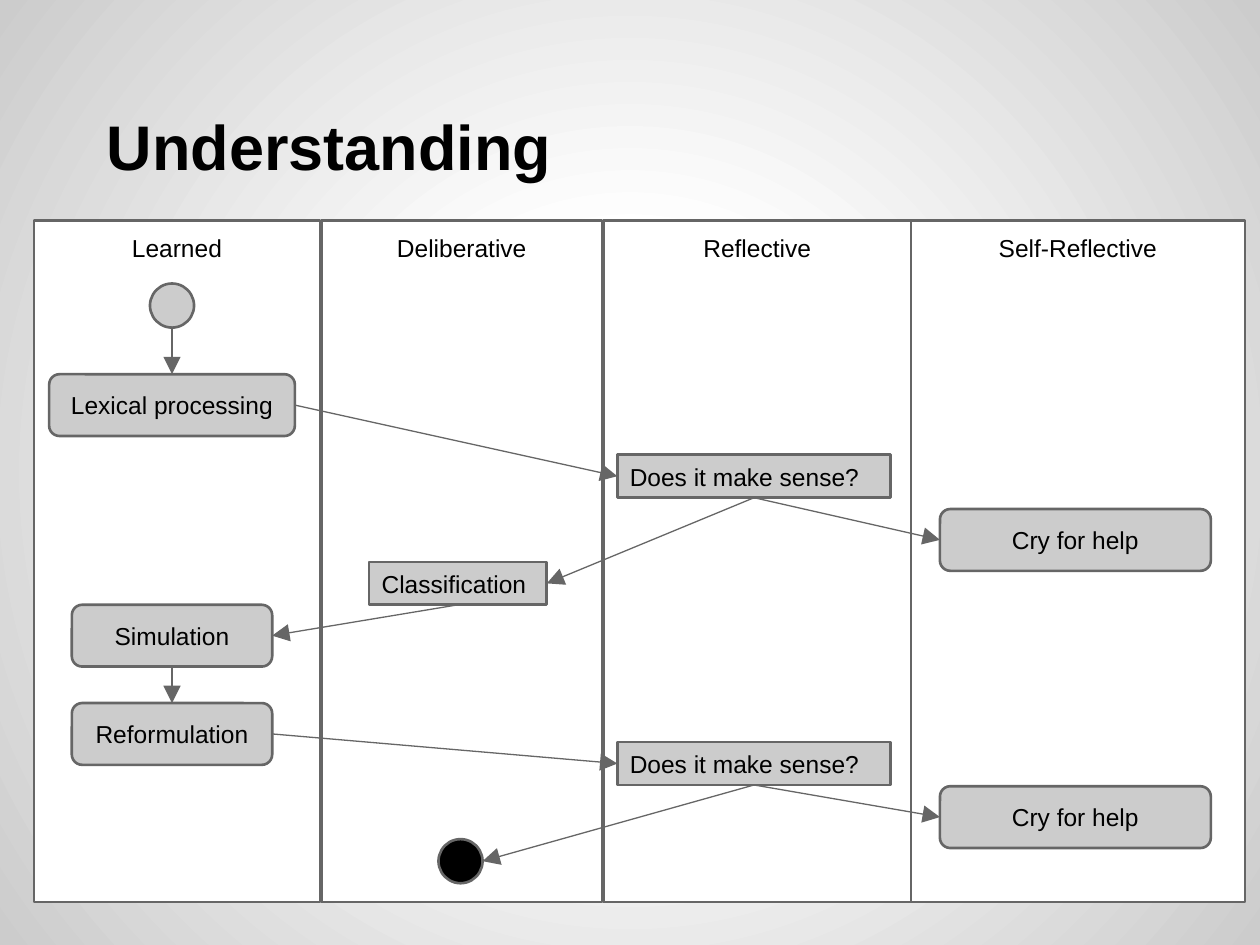
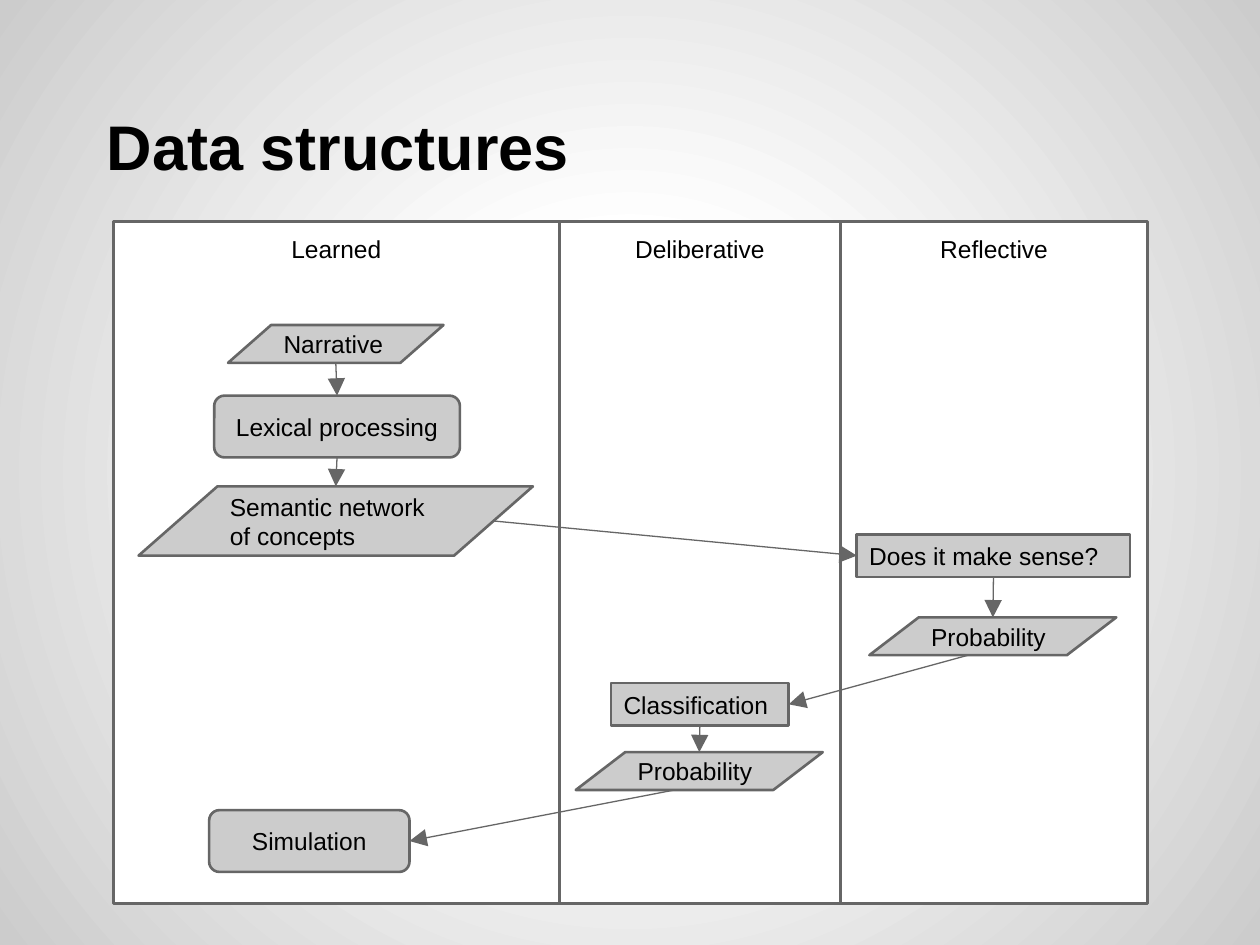
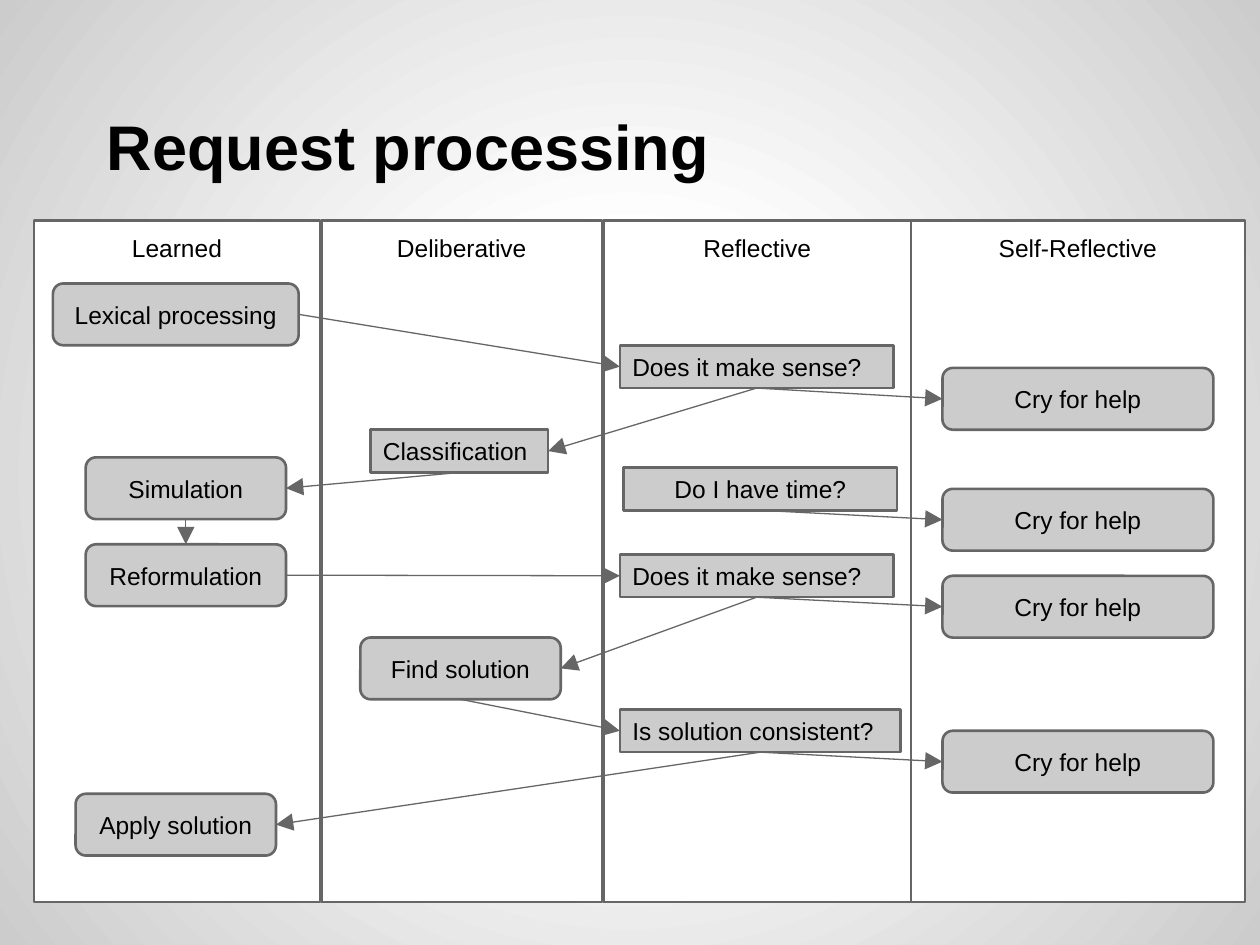
"""Builds three swimlane diagrams of how a request is understood and processed."""
from lxml.etree import SubElement
from pptx import Presentation
from pptx.dml.color import RGBColor
from pptx.enum.shapes import MSO_CONNECTOR, MSO_SHAPE as SHAPE
from pptx.enum.text import MSO_ANCHOR as ANCHOR, PP_ALIGN as ALIGN
from pptx.oxml import parse_xml
from pptx.oxml.ns import nsdecls, qn
from pptx.util import Inches, Pt

BLACK = RGBColor(0x00, 0x00, 0x00)
WHITE = RGBColor(0xFF, 0xFF, 0xFF)
SILVER = RGBColor(0xCC, 0xCC, 0xCC)
GRAY = RGBColor(0x66, 0x66, 0x66)
FONT = "Arial"

WIDTH, HEIGHT = Inches(10), Inches(7.5)
COLUMNS = 100
CELL = WIDTH / COLUMNS
LANE_ROWS = 54.1

TOP, LEFT, BOTTOM, RIGHT = (0.5, 0), (0, 0.5), (0.5, 1), (1, 0.5)
SLANT_BOTTOM, SLANT_RIGHT = (0.4, 1), (0.9, 0.5)
SITES = [TOP, LEFT, BOTTOM, RIGHT]
JOINABLE = [SHAPE.RECTANGLE, SHAPE.ROUNDED_RECTANGLE]

KINDS = {
    "lexical": (SHAPE.ROUNDED_RECTANGLE, 19.5, 4.9, SILVER, ALIGN.CENTER),
    "process": (SHAPE.ROUNDED_RECTANGLE, 15.9, 4.9, SILVER, ALIGN.CENTER),
    "help": (SHAPE.ROUNDED_RECTANGLE, 21.5, 4.9, SILVER, ALIGN.CENTER),
    "check": (SHAPE.RECTANGLE, 21.7, 3.4, SILVER, ALIGN.LEFT),
    "wide check": (SHAPE.RECTANGLE, 22.3, 3.4, SILVER, ALIGN.LEFT),
    "time check": (SHAPE.RECTANGLE, 21.7, 3.4, SILVER, ALIGN.CENTER),
    "classify": (SHAPE.RECTANGLE, 14.1, 3.4, SILVER, ALIGN.LEFT),
    "narrative": (SHAPE.FLOWCHART_DATA, 17.1, 3, SILVER, ALIGN.LEFT),
    "network": (SHAPE.FLOWCHART_DATA, 31.3, 5.5, SILVER, ALIGN.LEFT),
    "probability": (SHAPE.FLOWCHART_DATA, 19.6, 3, SILVER, ALIGN.LEFT),
    "start": (SHAPE.FLOWCHART_CONNECTOR, 3.5, 3.5, SILVER, ALIGN.CENTER),
    "end": (SHAPE.FLOWCHART_CONNECTOR, 3.5, 3.5, BLACK, ALIGN.CENTER),
}

FOUR_LANES = [
    ("Learned", 2.7, 22.7),
    ("Deliberative", 25.5, 22.3),
    ("Reflective", 47.9, 24.4),
    ("Self-Reflective", 72.3, 26.5),
]
THREE_LANES = [
    ("Learned", 9, 35.4),
    ("Deliberative", 44.4, 22.3),
    ("Reflective", 66.7, 24.4),
]

DIAGRAMS = [
    ("Understanding", FOUR_LANES, 17.5, {
        "start": ("start", "", 11.9, 22.5),
        "lexical": ("lexical", "Lexical processing", 3.9, 29.7),
        "sense 1": ("check", "Does it make sense?", 49, 36.1),
        "help 1": ("help", "Cry for help", 74.6, 40.4),
        "classify": ("classify", "Classification", 29.3, 44.6),
        "simulate": ("process", "Simulation", 5.7, 48),
        "reformulate": ("process", "Reformulation", 5.7, 55.8),
        "sense 2": ("check", "Does it make sense?", 49, 58.9),
        "help 2": ("help", "Cry for help", 74.6, 62.4),
        "end": ("end", "", 34.8, 66.6),
    }, [
        ("start", BOTTOM, "lexical", TOP),
        ("lexical", RIGHT, "sense 1", LEFT),
        ("sense 1", BOTTOM, "help 1", LEFT),
        ("sense 1", BOTTOM, "classify", RIGHT),
        ("classify", BOTTOM, "simulate", RIGHT),
        ("simulate", BOTTOM, "reformulate", TOP),
        ("reformulate", RIGHT, "sense 2", LEFT),
        ("sense 2", BOTTOM, "help 2", LEFT),
        ("sense 2", BOTTOM, "end", RIGHT),
    ]),
    ("Data structures", THREE_LANES, 17.6, {
        "narrative": ("narrative", "Narrative", 18.1, 25.8),
        "lexical": ("lexical", "Lexical processing", 17, 31.4),
        "network": ("network", "Semantic network of concepts", 11, 38.6),
        "sense": ("check", "Does it make sense?", 68, 42.4),
        "sense odds": ("probability", "Probability", 69, 49),
        "classify": ("classify", "Classification", 48.5, 54.2),
        "class odds": ("probability", "Probability", 45.7, 59.7),
        "simulate": ("process", "Simulation", 16.6, 64.3),
    }, [
        ("narrative", BOTTOM, "lexical", TOP),
        ("lexical", BOTTOM, "network", TOP),
        ("network", SLANT_RIGHT, "sense", LEFT),
        ("sense", BOTTOM, "sense odds", TOP),
        ("sense odds", SLANT_BOTTOM, "classify", RIGHT),
        ("classify", BOTTOM, "class odds", TOP),
        ("class odds", SLANT_BOTTOM, "simulate", RIGHT),
    ]),
    ("Request processing", FOUR_LANES, 17.5, {
        "lexical": ("lexical", "Lexical processing", 4.2, 22.5),
        "sense 1": ("check", "Does it make sense?", 49.2, 27.4),
        "help 1": ("help", "Cry for help", 74.8, 29.2),
        "classify": ("classify", "Classification", 29.4, 34.1),
        "simulate": ("process", "Simulation", 6.8, 36.3),
        "time": ("time check", "Do I have time?", 49.5, 37.1),
        "help 2": ("help", "Cry for help", 74.8, 38.8),
        "reformulate": ("process", "Reformulation", 6.8, 43.2),
        "sense 2": ("check", "Does it make sense?", 49.2, 44),
        "help 3": ("help", "Cry for help", 74.8, 45.7),
        "find": ("process", "Find solution", 28.6, 50.6),
        "consistent": ("wide check", "Is solution consistent?", 49.2, 56.3),
        "help 4": ("help", "Cry for help", 74.8, 58),
        "apply": ("process", "Apply solution", 6, 63),
    }, [
        ("lexical", RIGHT, "sense 1", LEFT),
        ("sense 1", BOTTOM, "help 1", LEFT),
        ("sense 1", BOTTOM, "classify", RIGHT),
        ("classify", BOTTOM, "simulate", RIGHT),
        ("simulate", BOTTOM, "reformulate", TOP),
        ("time", BOTTOM, "help 2", LEFT),
        ("reformulate", RIGHT, "sense 2", LEFT),
        ("sense 2", BOTTOM, "help 3", LEFT),
        ("sense 2", BOTTOM, "find", RIGHT),
        ("find", BOTTOM, "consistent", LEFT),
        ("consistent", BOTTOM, "help 4", LEFT),
        ("consistent", BOTTOM, "apply", RIGHT),
    ]),
]


def write(frame, text, size, align, anchor, bold=False):
    frame.word_wrap = True
    frame.vertical_anchor = anchor
    frame.margin_left = frame.margin_right = Inches(0.1)
    frame.margin_top = frame.margin_bottom = Inches(0.1)
    paragraph = frame.paragraphs[0]
    paragraph.alignment = align
    run = paragraph.add_run()
    run.text = text
    run.font.name, run.font.size, run.font.bold = FONT, Pt(size), bold
    run.font.color.rgb = BLACK
    return paragraph


def add_box(slide, geometry, grid, fill, text, align, anchor):
    box = slide.shapes.add_shape(geometry, *(round(n * CELL) for n in grid))
    box.shadow.inherit = False
    box.fill.solid()
    box.fill.fore_color.rgb = fill
    box.line.color.rgb = GRAY
    box.line.width = Pt(1.5)
    if text:
        write(box.text_frame, text, 14, align, anchor)
    return box


deck = Presentation()
deck.slide_width, deck.slide_height = WIDTH, HEIGHT

master = deck.slide_master
master.background.fill.solid()
backdrop = master.element.find(".//" + qn("p:bgPr"))
stops = "".join(
    f'<a:gs pos="{percent * 1000}"><a:srgbClr val="{color}"/></a:gs>'
    for percent, color in [(0, WHITE), (30, WHITE), (100, SILVER)]
)
backdrop[0] = parse_xml(
    f'<a:gradFill {nsdecls("a")} rotWithShape="1"><a:gsLst>{stops}</a:gsLst>'
    '<a:path path="circle"><a:fillToRect l="50000" t="50000" r="50000" b="50000"/>'
    "</a:path></a:gradFill>"
)

for title, lanes, lane_row, steps, links in DIAGRAMS:
    slide = deck.slides.add_slide(deck.slide_layouts[6])
    heading = slide.shapes.add_textbox(*(round(n * CELL) for n in (5, 3, 90, 12.5)))
    heading_line = write(heading.text_frame, title, 36, ALIGN.LEFT, ANCHOR.BOTTOM, True)
    heading_line._p.get_or_add_pPr().set("indent", str(Inches(0.25)))

    for lane, column, span in lanes:
        add_box(slide, SHAPE.RECTANGLE, (column, lane_row, span, LANE_ROWS),
                WHITE, lane, ALIGN.CENTER, ANCHOR.TOP)

    placed = {}
    for step, (kind, text, column, row) in steps.items():
        geometry, span, rows, fill, align = KINDS[kind]
        placed[step] = add_box(slide, geometry, (column, row, span, rows),
                               fill, text, align, ANCHOR.MIDDLE)

    for source, exit_site, target, entry_site in links:
        ends = [(placed[source], exit_site), (placed[target], entry_site)]
        points = [
            round(value)
            for box, (across, down) in ends
            for value in (box.left + across * box.width, box.top + down * box.height)
        ]
        arrow = slide.shapes.add_connector(MSO_CONNECTOR.STRAIGHT, *points)
        for join, (box, site) in zip((arrow.begin_connect, arrow.end_connect), ends):
            if box.auto_shape_type in JOINABLE:
                join(box, SITES.index(site))
        arrow.line.color.rgb = GRAY
        arrow.line.width = Pt(0.75)
        SubElement(arrow.line._get_or_add_ln(), qn("a:tailEnd"),
                   type="triangle", w="lg", len="lg")
        SubElement(arrow._element.spPr, qn("a:effectLst"))

deck.save("out.pptx")
